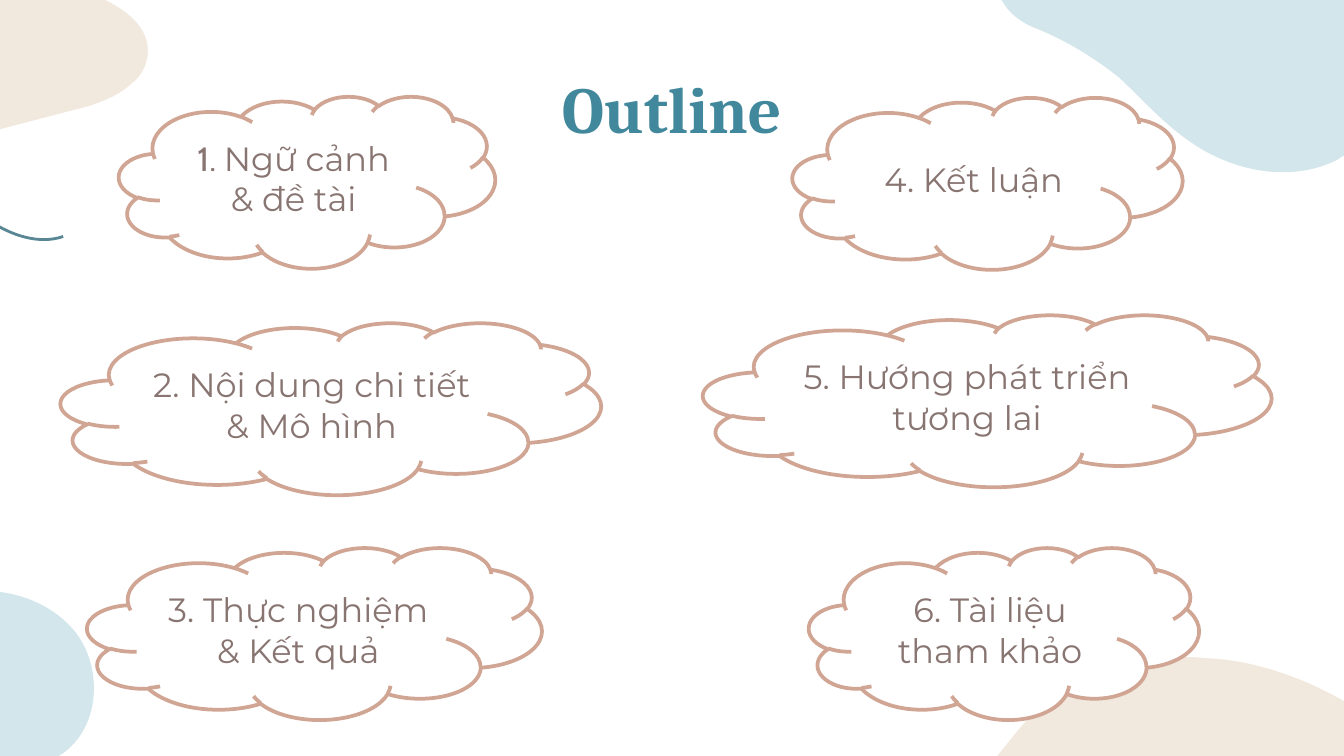
from dataclasses import dataclass

from lxml import etree
from pptx import Presentation
from pptx.dml.color import RGBColor
from pptx.enum.shapes import MSO_SHAPE
from pptx.enum.text import MSO_ANCHOR, MSO_AUTO_SIZE, PP_ALIGN
from pptx.oxml.ns import qn
from pptx.util import Cm, Pt

CLOUD = MSO_SHAPE.CLOUD
MIDDLE = MSO_ANCHOR.MIDDLE
CENTER = PP_ALIGN.CENTER
NO_AUTOFIT = MSO_AUTO_SIZE.NONE
TITLE_ONLY = 5
CM_PER_INCH = 2.54


@dataclass(frozen=True)
class Theme:
    white: str = "FFFFFF"
    sand: str = "F1E8DE"
    sky: str = "D2E6EC"
    wave: str = "5A8796"
    cloud_edge: str = "D1A593"
    body: str = "887571"
    heading: str = "42889D"
    title_font: str = "Cambria"
    body_font: str = "Montserrat"
    number_font: str = "Cabin"
    title_size: int = 35
    body_size: int = 18
    cloud_line: float = 2
    wave_line: float = 1.5


THEME = Theme()

# Outlines in inches: a start point, then curves (6 numbers) or lines (2 numbers)
TOP_LEFT_BLOB = [
    (-2.28, 0.22), (-2.47, 0.38, -2.62, 0.57, -2.52, 0.86),
    (-2.42, 1.14, -2.13, 1.31, -1.84, 1.34), (-1.56, 1.37, -1.27, 1.3, -0.99, 1.22),
    (0.58, 0.81), (0.71, 0.78, 0.87, 0.72, 0.97, 0.63),
    (1.05, 0.57, 1.1, 0.48, 1.1, 0.38), (1.1, 0.16, 0.87, 0.03, 0.67, -0.05),
    (0.21, -0.25, -0.26, -0.45, -0.76, -0.48), (-1.31, -0.51, -1.63, -0.3, -2.03, 0.02),
    (-2.11, 0.09, -2.2, 0.15, -2.28, 0.22)]
LEFT_WAVE = [
    (0.47, 1.76), (0.12, 1.88, -0.36, 1.51, -0.47, 1.15),
    (-0.55, 0.88, -0.43, 0.53, -0.61, 0.31), (-0.77, 0.13, -1.06, 0.14, -1.3, 0.1),
    (-1.65, 0.06, -2, -0.01, -2.33, -0.13)]
BOTTOM_LEFT_BLOB = [
    (-0.76, 4.57), (-0.89, 4.64, -1, 4.73, -1.11, 4.83),
    (-1.36, 5.05, -1.58, 5.33, -1.87, 5.49), (-1.89, 5.5, -1.91, 5.51, -1.93, 5.52),
    (-2.11, 5.61, -2.33, 5.66, -2.51, 5.76), (-2.59, 5.81, -2.67, 5.87, -2.73, 5.96),
    (-2.84, 6.14, -2.81, 6.41, -2.66, 6.56), (-2.55, 6.66, -2.4, 6.71, -2.27, 6.78),
    (-2.04, 6.9, -1.91, 7.16, -1.67, 7.24), (-1.51, 7.29, -1.32, 7.28, -1.18, 7.2),
    (-1.09, 7.15, -1.02, 7.07, -0.97, 6.98), (-0.85, 6.68, -1.01, 6.3, -0.84, 6.03),
    (-0.79, 5.96, -0.73, 5.91, -0.66, 5.87), (-0.53, 5.79, -0.36, 5.77, -0.2, 5.76),
    (0.01, 5.74, 0.24, 5.74, 0.42, 5.64), (0.44, 5.62, 0.47, 5.61, 0.49, 5.59),
    (0.74, 5.39, 0.76, 4.99, 0.58, 4.73), (0.39, 4.47, 0.04, 4.36, -0.27, 4.41),
    (-0.45, 4.43, -0.61, 4.49, -0.76, 4.57)]
TOP_RIGHT_BLOB = [
    (9.95, 1.19), (9.97, 1.18, 9.99, 1.16, 10.01, 1.15),
    (10.2, 1.03, 10.33, 0.83, 10.44, 0.63), (10.53, 0.45, 10.61, 0.24, 10.61, 0.03),
    (10.6, -0.25, 10.43, -0.52, 10.19, -0.65), (9.96, -0.77, 9.68, -0.77, 9.46, -0.65),
    (9.43, -0.64, 9.41, -0.63, 9.39, -0.61), (9.26, -0.53, 9.16, -0.41, 9.03, -0.35),
    (9, -0.33, 8.97, -0.32, 8.95, -0.31), (8.77, -0.26, 8.59, -0.33, 8.43, -0.41),
    (8.28, -0.5, 8.13, -0.61, 7.96, -0.67), (7.83, -0.71, 7.68, -0.72, 7.56, -0.66),
    (7.53, -0.64, 7.49, -0.61, 7.47, -0.58), (7.38, -0.49, 7.36, -0.34, 7.38, -0.21),
    (7.42, -0.01, 7.5, 0.12, 7.68, 0.2), (7.91, 0.29, 8.13, 0.42, 8.33, 0.58),
    (8.49, 0.73, 8.64, 0.9, 8.82, 1.03), (9.14, 1.27, 9.59, 1.37, 9.95, 1.19)]
BOTTOM_RIGHT_BLOB = [
    (8.86, 4.89), (8.92, 4.89, 8.97, 4.9, 9.02, 4.9),
    (9.3, 4.92, 9.54, 5, 9.75, 5.09), (9.92, 5.17, 10.08, 5.25, 10.18, 5.35),
    (10.18, 5.8), (7.23, 5.8), (7.29, 5.75, 7.35, 5.7, 7.4, 5.65),
    (7.51, 5.52, 7.6, 5.39, 7.73, 5.27), (7.96, 5.06, 8.4, 4.89, 8.86, 4.89)]

# Topics: left, top, width in cm, then number and text
CLOUD_HEIGHT = 3.25
TOPICS = [
    (2.25, 1.82, 7.11, "1. ", "Ngữ cảnh & đề tài"),
    (1.15, 6.1, 10.21, "2. ", "Nội dung chi tiết & Mô hình"),
    (1.65, 10.35, 8.59, "3. ", "Thực nghiệm & Kết quả"),
    (14.98, 1.84, 7.37, "4. ", "Kết luận"),
    (13.29, 5.95, 10.74, "5. ", "Hướng phát triển tương lai"),
    (15.29, 10.35, 7.37, "6. ", "Tài liệu tham khảo"),
]


def add_text(paragraph, text, *, font, size, color, bold=False):
    run = paragraph.add_run()
    run.text = text
    run.font.name = font
    run.font.size = Pt(size)
    run.font.bold = bold
    run.font.color.rgb = RGBColor.from_string(color)


def bend(freeform, segments):
    """Join the three lines drawn through each curve's controls into one curve."""
    lines = iter(list(freeform._element.iter(qn("a:lnTo"))))
    for segment in segments:
        line = next(lines)
        if len(segment) == 2:
            continue
        curve = etree.Element(qn("a:cubicBezTo"))
        line.addprevious(curve)
        for control in (line, next(lines), next(lines)):
            curve.append(control[0])
            control.getparent().remove(control)


class SlideBuilder:
    def __init__(self, slide, theme):
        self.slide = slide
        self.theme = theme

    def paint(self, shape, fill=None, line=None, width=1):
        shape.shadow.inherit = False
        if fill:
            shape.fill.solid()
            shape.fill.fore_color.rgb = RGBColor.from_string(fill)
        else:
            shape.fill.background()
        if line:
            shape.line.color.rgb = RGBColor.from_string(line)
            shape.line.width = Pt(width)
        else:
            shape.line.fill.background()

    def outline(self, segments, closed=True, **style):
        numbers = [Cm(n * CM_PER_INCH) for segment in segments for n in segment]
        start, *points = zip(numbers[::2], numbers[1::2])
        builder = self.slide.shapes.build_freeform(*start)
        builder.add_line_segments(points, close=closed)
        freeform = builder.convert_to_shape()
        bend(freeform, segments[1:])
        self.paint(freeform, **style)

    def cloud(self, left, top, width, number, topic, number_font):
        theme = self.theme
        cloud = self.slide.shapes.add_shape(
            CLOUD, Cm(left), Cm(top), Cm(width), Cm(CLOUD_HEIGHT))
        self.paint(cloud, theme.white, theme.cloud_edge, theme.cloud_line)
        cloud.text_frame.word_wrap = True
        cloud.text_frame.vertical_anchor = MIDDLE
        paragraph = cloud.text_frame.paragraphs[0]
        paragraph.alignment = CENTER
        style = {"size": theme.body_size, "color": theme.body}
        if number_font == theme.body_font:
            add_text(paragraph, number + topic, font=theme.body_font, **style)
        else:
            add_text(paragraph, number, font=number_font, **style)
            add_text(paragraph, topic, font=theme.body_font, **style)

    def title(self, text):
        theme, title = self.theme, self.slide.shapes.title
        title.left, title.top, title.width, title.height = map(Cm, (1.47, 1.23, 22.45, 1.6))
        frame = title.text_frame
        frame.word_wrap = True
        frame.auto_size = NO_AUTOFIT
        frame.vertical_anchor = MIDDLE
        frame.margin_left = frame.margin_right = Cm(0.25)
        frame.margin_top = frame.margin_bottom = Cm(0.25)
        frame.paragraphs[0].alignment = CENTER
        add_text(frame.paragraphs[0], text, font=theme.title_font,
                 size=theme.title_size, color=theme.heading, bold=True)
        # Bring the title in front of the clouds
        self.slide.shapes._spTree.append(title._element)


def main():
    deck = Presentation()
    deck.slide_width, deck.slide_height = Cm(25.4), Cm(14.29)
    slide = deck.slides.add_slide(deck.slide_layouts[TITLE_ONLY])
    builder = SlideBuilder(slide, THEME)

    # Background decoration
    builder.outline(TOP_LEFT_BLOB, fill=THEME.sand)
    builder.outline(LEFT_WAVE, closed=False, line=THEME.wave, width=THEME.wave_line)
    builder.outline(BOTTOM_LEFT_BLOB, fill=THEME.sky)
    builder.outline(TOP_RIGHT_BLOB, fill=THEME.sky)
    builder.outline(BOTTOM_RIGHT_BLOB, fill=THEME.sand)

    # Topic clouds; the first number has its own font
    for index, topic in enumerate(TOPICS):
        builder.cloud(*topic, THEME.body_font if index else THEME.number_font)

    # Heading
    builder.title("Outline")
    deck.save("out.pptx")


if __name__ == "__main__":
    main()
